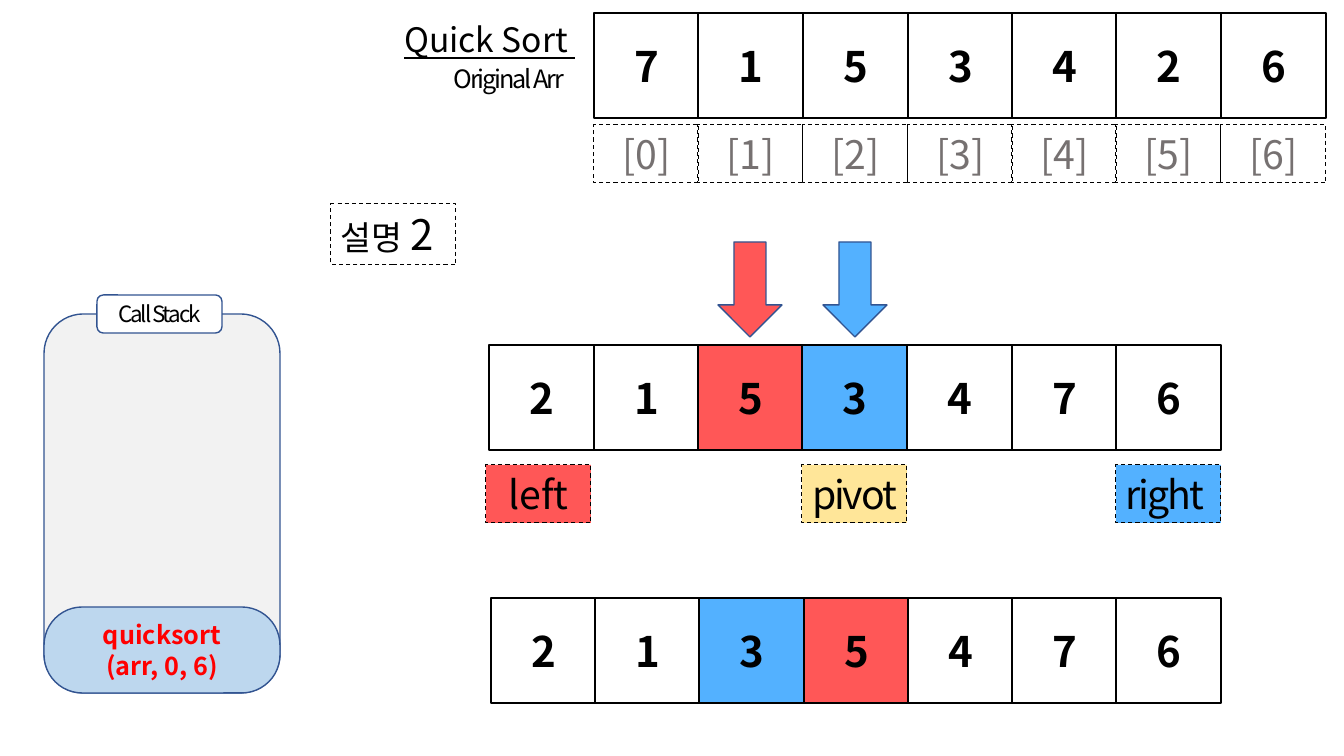
"""Build the quick sort slide: source array, partition step and call stack."""
from dataclasses import dataclass, replace
from typing import Optional

from pptx import Presentation
from pptx.dml.color import RGBColor
from pptx.enum.dml import MSO_LINE
from pptx.enum.shapes import MSO_SHAPE
from pptx.enum.text import MSO_ANCHOR, PP_ALIGN
from pptx.oxml.ns import qn
from pptx.util import Emu, Pt
from lxml.etree import SubElement

SCALE = 914400 / 100.8


@dataclass(frozen=True)
class Theme:
    """Colours, font and type sizes of the slide."""
    font: str = "Noto Sans CJK KR"
    ink: str = "000000"
    paper: str = "FFFFFF"
    index: str = "767171"
    red: str = "FF5757"
    blue: str = "53B1FF"
    yellow: str = "FFE699"
    outline: str = "325491"
    stack: str = "F2F2F2"
    frame: str = "BDD7EE"
    call: str = "FF0000"
    value_size: int = 30
    label_size: int = 28
    title_size: int = 24
    call_size: int = 18
    caption_size: int = 16


THEME = Theme()


@dataclass(frozen=True)
class Type:
    """Look of a piece of text."""
    size: int
    color: str = THEME.ink
    bold: bool = False
    underline: bool = False
    spacing: float = 0
    align: PP_ALIGN = PP_ALIGN.CENTER
    anchor: MSO_ANCHOR = MSO_ANCHOR.TOP


@dataclass(frozen=True)
class Border:
    """Look of an outline."""
    color: str = THEME.ink
    width: float = 0.75
    dashed: bool = False


@dataclass(frozen=True)
class Block:
    """A preset shape in pixels, with optional text."""
    left: int
    top: int
    width: int
    height: int
    border: Border
    fill: Optional[str] = None
    text: str = ""
    type: Optional[Type] = None
    kind: MSO_SHAPE = MSO_SHAPE.RECTANGLE
    adjust: Optional[float] = None


@dataclass(frozen=True)
class Row:
    """Equal cells whose first and last left edges are given."""
    first: int
    last: int
    texts: list[str]
    cell: Block
    fills: dict[int, str]


SOLID = Border(width=1.5)
DASHED = Border(dashed=True)
NAVY = Border(THEME.outline, 1)
VALUE = Type(THEME.value_size, bold=True, anchor=MSO_ANCHOR.MIDDLE)
LABEL = Type(THEME.label_size)
TIGHT = replace(LABEL, spacing=-1.5)
INDEX = replace(LABEL, color=THEME.index)
TITLE = Type(THEME.title_size, underline=True, align=PP_ALIGN.LEFT)
NOTE = Type(THEME.title_size, align=PP_ALIGN.LEFT)
SUBTITLE = Type(THEME.call_size, spacing=-1.5, align=PP_ALIGN.RIGHT)
CAPTION = Type(THEME.caption_size, spacing=-1.5, anchor=MSO_ANCHOR.MIDDLE)
CALL = Type(THEME.call_size, THEME.call, bold=True, anchor=MSO_ANCHOR.MIDDLE)

VALUE_CELL = Block(0, 0, 105, 105, SOLID, THEME.paper, type=VALUE)
INDEX_CELL = Block(0, 125, 105, 58, DASHED, type=INDEX)
ROWS = [
    Row(594, 1221, list("7153426"), replace(VALUE_CELL, top=13), {}),
    Row(594, 1221, [f"[{index}]" for index in range(7)], INDEX_CELL, {}),
    Row(489, 1116, list("2153476"), replace(VALUE_CELL, top=345),
        {2: THEME.red, 3: THEME.blue}),
    Row(491, 1116, list("2135476"), replace(VALUE_CELL, top=598),
        {2: THEME.blue, 3: THEME.red}),
]
MARKERS = [
    Block(486, 465, 105, 58, DASHED, THEME.red, "left", LABEL),
    Block(1116, 465, 105, 58, DASHED, THEME.blue, "right",
          replace(TIGHT, align=PP_ALIGN.LEFT)),
    Block(802, 465, 105, 58, DASHED, THEME.yellow, "pivot", TIGHT),
    Block(718, 242, 64, 95, NAVY, THEME.red, kind=MSO_SHAPE.DOWN_ARROW),
    Block(823, 242, 64, 95, NAVY, THEME.blue, kind=MSO_SHAPE.DOWN_ARROW),
]
STEP = Block(331, 204, 125, 61, DASHED, text="설명 2", type=NOTE)
ROUND = MSO_SHAPE.ROUNDED_RECTANGLE
CALL_STACK = [
    Block(44, 314, 236, 379, NAVY, THEME.stack, kind=ROUND),
    Block(97, 295, 125, 38, NAVY, THEME.paper, "Call Stack", CAPTION, ROUND),
    Block(44, 607, 236, 86, NAVY, THEME.frame, "quicksort\n(arr, 0, 6)", CALL,
          ROUND, 0.445),
]


def pixels(*values: int) -> list[Emu]:
    """Turn whole pixels into EMU."""
    return [Emu(round(value * SCALE)) for value in values]


def format_span(span, style: Type) -> None:
    """Apply a text style to one run."""
    font = span.font
    font.name, font.size = THEME.font, Pt(style.size)
    font.bold, font.underline = style.bold, style.underline
    font.color.rgb = RGBColor.from_string(style.color)
    properties = span._r.get_or_add_rPr()
    SubElement(properties, qn("a:ea")).set("typeface", THEME.font)
    if style.spacing:
        properties.set("spc", str(round(style.spacing * 100)))


def write(box, text: str, style: Type) -> None:
    """Fill a shape with styled text."""
    frame = box.text_frame
    frame.text = text
    frame.word_wrap = True
    frame.vertical_anchor = style.anchor
    for para in frame.paragraphs:
        para.alignment = style.align
        para.line_spacing = 1.0
        for span in para.runs:
            format_span(span, style)


def draw(canvas, block: Block):
    """Draw one block and return its shape."""
    box = canvas.add_shape(block.kind, *pixels(block.left, block.top, block.width, block.height))
    box.shadow.inherit = False
    if block.fill:
        box.fill.solid()
        box.fill.fore_color.rgb = RGBColor.from_string(block.fill)
    else:
        box.fill.background()
    box.line.color.rgb = RGBColor.from_string(block.border.color)
    box.line.width = Pt(block.border.width)
    if block.border.dashed:
        box.line.dash_style = MSO_LINE.DASH
    if block.adjust is not None:
        box.adjustments[0] = block.adjust
    if block.type:
        write(box, block.text, block.type)
    return box


def draw_row(page, row: Row) -> None:
    """Draw a row of cells as one group."""
    group = page.shapes.add_group_shape()
    pitch = (row.last - row.first) / (len(row.texts) - 1)
    for index, text in enumerate(row.texts):
        left = round(row.first + index * pitch)
        fill = row.fills.get(index, row.cell.fill)
        draw(group.shapes, replace(row.cell, left=left, text=text, fill=fill))


def build() -> None:
    """Assemble and save the deck."""
    deck = Presentation()
    deck.slide_width, deck.slide_height = pixels(1344, 756)
    page = deck.slides.add_slide(deck.slide_layouts[5])
    title = page.shapes.title
    title.left, title.top, title.width, title.height = pixels(394, 14, 192, 50)
    write(title, "Quick Sort ", TITLE)
    for row in ROWS:
        draw_row(page, row)
    step = draw(page.shapes, STEP)
    para = step.text_frame.paragraphs[0]
    para.runs[0].text = "설명 "
    number = para.add_run()
    number.text = "2"
    format_span(number, replace(NOTE, size=THEME.value_size))
    for marker in MARKERS:
        draw(page.shapes, marker)
    stack = page.shapes.add_group_shape()
    for block in CALL_STACK:
        draw(stack.shapes, block)
    subtitle = page.shapes.add_textbox(*pixels(430, 58, 144, 40))
    write(subtitle, "Original Arr", SUBTITLE)
    deck.save("out.pptx")


build()
